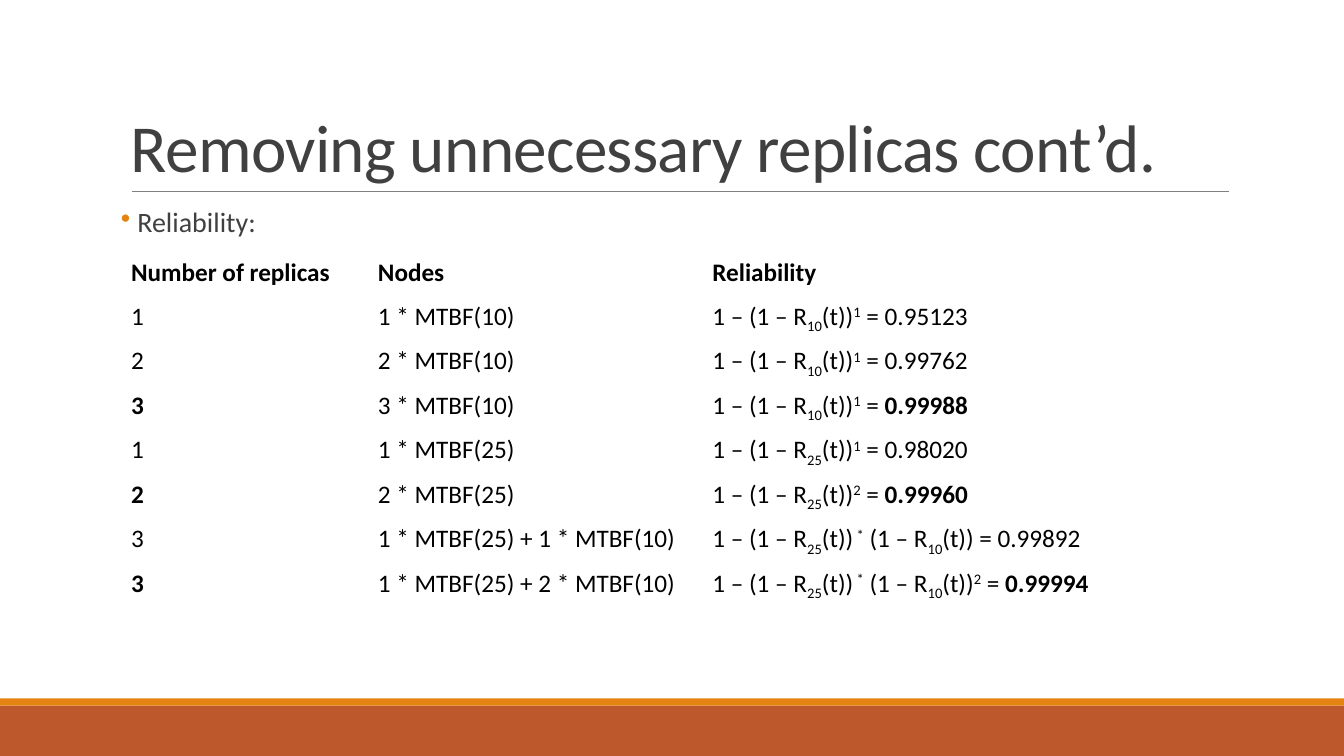
from dataclasses import dataclass

from lxml.etree import SubElement
from pptx import Presentation
from pptx.dml.color import RGBColor as RGB
from pptx.enum.shapes import MSO_CONNECTOR as CONN, MSO_SHAPE as SHAPE
from pptx.enum.text import MSO_ANCHOR as ANCHOR
from pptx.oxml.ns import qn
from pptx.util import Cm, Pt


@dataclass(frozen=True)
class Theme:
    font: str = "Calibri"
    text: RGB = RGB(0x40, 0x40, 0x40)
    table_text: RGB = RGB(0, 0, 0)
    rule: RGB = RGB(0x80, 0x80, 0x80)
    accent: RGB = RGB(0xE4, 0x83, 0x12)
    footer: RGB = RGB(0xBD, 0x58, 0x2C)
    title_size: int = 48
    body_size: int = 20
    table_size: int = 18


THEME = Theme()
WIDTH, HEIGHT = 33.87, 19.05

# Runs are separated by "|"; a leading _ lowers, ^ raises and ! emboldens a run
BASELINES = {"_": "-25000", "^": "30000"}
R10, R25 = "(1 – R|_10|(t))", "(1 – R|_25|(t))"
COLUMN_WIDTHS = (6.22, 8.43, 12.27)
ROW_HEIGHT = 1.12
ROWS = (
    ("!Number of replicas", "!Nodes", "!Reliability"),
    ("1", "1 * MTBF(10)", f"1 – {R10}|^1| = 0.95123"),
    ("2", "2 * MTBF(10)", f"1 – {R10}|^1| = 0.99762"),
    ("!3", "3 * MTBF(10)", f"1 – {R10}|^1| = |!0.99988"),
    ("1", "1 * MTBF(25)", f"1 – {R25}|^1| = 0.98020"),
    ("!2", "2 * MTBF(25)", f"1 – {R25}|^2| = |!0.99960"),
    ("3", "1 * MTBF(25) + 1 * MTBF(10)", f"1 – {R25}|^ *| {R10} = 0.99892"),
    ("!3", "1 * MTBF(25) + 2 * MTBF(10)",
     f"1 – {R25}|^ *| {R10}|^2| = |!0.99994"),
)


def add_runs(p, markup, size, color):
    for part in markup.split("|"):
        mark = part[0] if part[0] in "_^!" else ""
        r = p.add_run()
        r.text = part[len(mark):]
        r.font.name = THEME.font
        r.font.size = Pt(size)
        r.font.color.rgb = color
        r.font.bold = mark == "!"
        if mark in BASELINES:
            r.font._element.set("baseline", BASELINES[mark])


def add_text_box(slide, left, top, width, height):
    tf = slide.shapes.add_textbox(Cm(left), Cm(top), Cm(width), Cm(height)).text_frame
    tf.word_wrap = True
    return tf


def add_footer(slide, left, top, width, height):
    # Thin accent strip above the main band
    strip = 0.18
    for y, h, color in ((top + strip, height - strip, THEME.footer),
                        (top, strip, THEME.accent)):
        sp = slide.shapes.add_shape(SHAPE.RECTANGLE, Cm(left), Cm(y), Cm(width), Cm(h))
        sp.shadow.inherit = False
        sp.fill.solid()
        sp.fill.fore_color.rgb = color
        sp.line.fill.background()


def add_title(slide, left, top, width, height):
    # Rule under the heading
    bottom = Cm(top + height)
    rule = slide.shapes.add_connector(
        CONN.STRAIGHT, Cm(left + 0.28), bottom, Cm(left + width - 0.02), bottom)
    rule.line.color.rgb = THEME.rule
    rule.line.width = Pt(0.5)
    SubElement(rule._element.spPr, qn("a:effectLst"))

    # Heading
    tf = add_text_box(slide, left, top, width, height)
    tf.vertical_anchor = ANCHOR.BOTTOM
    p = tf.paragraphs[0]
    p.line_spacing = 0.85
    add_runs(p, "Removing unnecessary replicas cont’d.", THEME.title_size, THEME.text)
    p.runs[0].font._element.set("spc", "-50")


def add_bullet(slide, left, top, width, height):
    tf = add_text_box(slide, left, top, width, height)
    tf.margin_left = tf.margin_right = 0
    p = tf.paragraphs[0]
    p.line_spacing = 0.9
    p.space_before, p.space_after = Pt(12), Pt(2)
    add_runs(p, " Reliability:", THEME.body_size, THEME.text)

    # Coloured bullet with a hanging indent
    pPr = p._p.get_or_add_pPr()
    indent = Cm(0.25)
    pPr.set("marL", str(indent))
    pPr.set("indent", str(-indent))
    color = SubElement(pPr, qn("a:buClr"))
    SubElement(color, qn("a:srgbClr"), val=str(THEME.accent))
    SubElement(pPr, qn("a:buChar"), char="•")


def add_reliability_table(slide, left, top):
    table = slide.shapes.add_table(
        len(ROWS), len(COLUMN_WIDTHS), Cm(left), Cm(top),
        Cm(sum(COLUMN_WIDTHS)), Cm(ROW_HEIGHT * len(ROWS))).table
    table.first_row = table.horz_banding = False
    for column, width in zip(table.columns, COLUMN_WIDTHS):
        column.width = Cm(width)
    for row, texts in zip(table.rows, ROWS):
        row.height = Cm(ROW_HEIGHT)
        for cell, markup in zip(row.cells, texts):
            cell.fill.background()
            add_runs(cell.text_frame.paragraphs[0], markup,
                     THEME.table_size, THEME.table_text)


def add_replicas_slide(prs):
    slide = prs.slides.add_slide(prs.slide_layouts[6])
    left, width = 3.05, 27.94
    add_footer(slide, 0, 17.6, WIDTH, HEIGHT - 17.6)
    add_title(slide, left, 0.79, width, 4.04)
    add_bullet(slide, left, 5.13, width, 1.2)
    add_reliability_table(slide, left, 6.35)


def main():
    prs = Presentation()
    prs.slide_width, prs.slide_height = Cm(WIDTH), Cm(HEIGHT)
    add_replicas_slide(prs)
    prs.save("out.pptx")


if __name__ == "__main__":
    main()
